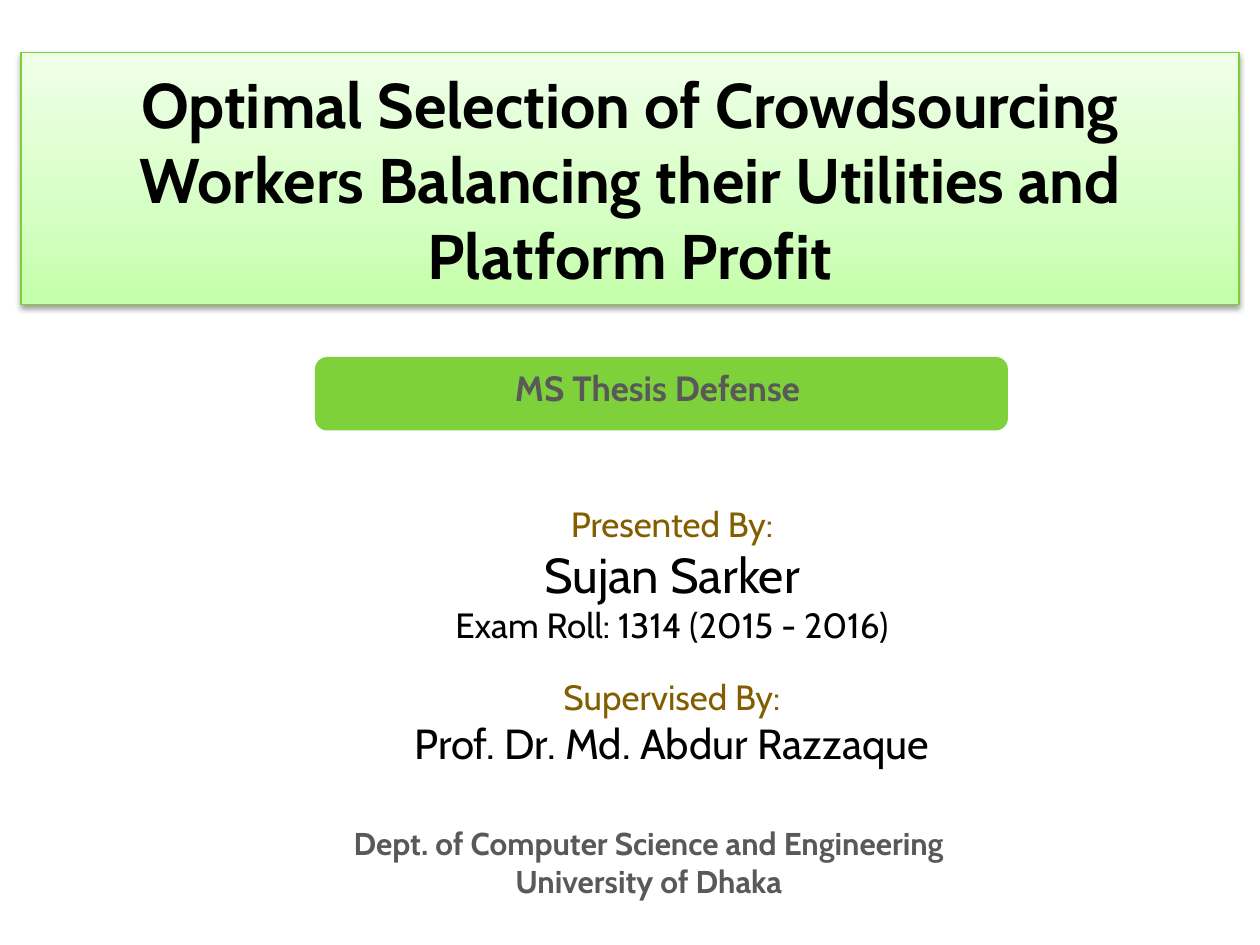
from copy import deepcopy

from lxml import etree
from pptx import Presentation
from pptx.dml.color import RGBColor
from pptx.enum.shapes import MSO_SHAPE
from pptx.enum.text import MSO_ANCHOR, MSO_AUTO_SIZE, PP_ALIGN
from pptx.oxml import parse_xml
from pptx.util import Inches, Pt

ROUNDED = MSO_SHAPE.ROUNDED_RECTANGLE
TOP, MIDDLE = MSO_ANCHOR.TOP, MSO_ANCHOR.MIDDLE
NO_AUTOFIT = MSO_AUTO_SIZE.NONE
CENTER = PP_ALIGN.CENTER
DRAWING = "http://schemas.openxmlformats.org/drawingml/2006/main"
FONT = "Cabin"
COLORS = {
    "black": "000000",
    "grey": "595959",
    "brown": "835E01",
    "green": "7FD13B",
    "border": "7CD036",
}
GRADIENT = [(0, "C4FFAA"), (0.35, "D5FFC3"), (1, "EFFFE8")]

deck = Presentation()
deck.slide_width, deck.slide_height = Inches(10), Inches(7.5)
COLUMN, ROW = deck.slide_width / 120, deck.slide_height / 90
page = deck.slides.add_slide(deck.slide_layouts[0])


def grid(column, row, columns, rows):
    return [round(n * unit) for n, unit in
            zip((column, row, columns, rows), (COLUMN, ROW, COLUMN, ROW))]


def write(box, lines, anchor=TOP, bold=False):
    frame = box.text_frame
    frame.word_wrap = True
    frame.auto_size = NO_AUTOFIT
    frame.vertical_anchor = anchor
    for index, (text, size, color, before) in enumerate(lines):
        para = frame.add_paragraph() if index else frame.paragraphs[0]
        para.alignment = CENTER
        para.space_before = Pt(before)
        span = para.add_run()
        span.text = text
        span.font.name = FONT
        span.font.size = Pt(size)
        span.font.bold = bold
        span.font.color.rgb = RGBColor.from_string(COLORS[color])


title = page.shapes.title
title.left, title.top, title.width, title.height = grid(2, 5, 116, 24)
title_format = title.element.spPr
title_format.append(parse_xml(
    f'<a:prstGeom xmlns:a="{DRAWING}" prst="roundRect"><a:avLst/></a:prstGeom>'))
title.fill.gradient()
title.fill.gradient_angle = 90
stop_list = title_format.find(f".//{{{DRAWING}}}gsLst")
stop_list.insert(1, deepcopy(stop_list[0]))
for stop, (position, color) in zip(title.fill.gradient_stops, GRADIENT):
    stop.position = position
    stop.color.rgb = RGBColor.from_string(color)
title.line.color.rgb = RGBColor.from_string(COLORS["border"])
title.line.width = Pt(0.75)
effects = etree.SubElement(title_format, f"{{{DRAWING}}}effectLst")
effects.append(parse_xml(
    f'<a:outerShdw xmlns:a="{DRAWING}" blurRad="{Pt(3.1)}" dist="{Pt(1.6)}" '
    f'dir="5400000" rotWithShape="0"><a:srgbClr val="{COLORS["black"]}">'
    '<a:alpha val="38000"/></a:srgbClr></a:outerShdw>'))
write(title, [
    ("Optimal Selection of Crowdsourcing Workers Balancing their Utilities "
     "and Platform Profit", 36, "black", 0),
], MIDDLE, True)

banner = page.shapes.add_shape(ROUNDED, *grid(30, 34, 66, 7))
banner.shadow.inherit = False
banner.fill.solid()
banner.fill.fore_color.rgb = RGBColor.from_string(COLORS["green"])
banner.line.fill.background()
write(banner, [("MS Thesis Defense ", 20, "grey", 4.8)], bold=True)

department = page.shapes.add_textbox(*grid(29.64, 77.9, 64.3, 12.1))
write(department, [
    ("Dept. of Computer Science and Engineering", 18, "grey", 0),
    ("University of Dhaka", 18, "grey", 0),
], bold=True)

people = page.placeholders[1]
people.left, people.top, people.width, people.height = grid(15, 44, 98, 33)
write(people, [
    ("Presented By:", 20, "brown", 0),
    ("Sujan Sarker", 28, "black", 0),
    ("Exam Roll: 1314 (2015 - 2016)", 20, "black", 0),
    ("Supervised By:", 20, "brown", 17),
    ("Prof. Dr. Md. Abdur Razzaque", 24, "black", 0),
], MIDDLE)

deck.save("out.pptx")
